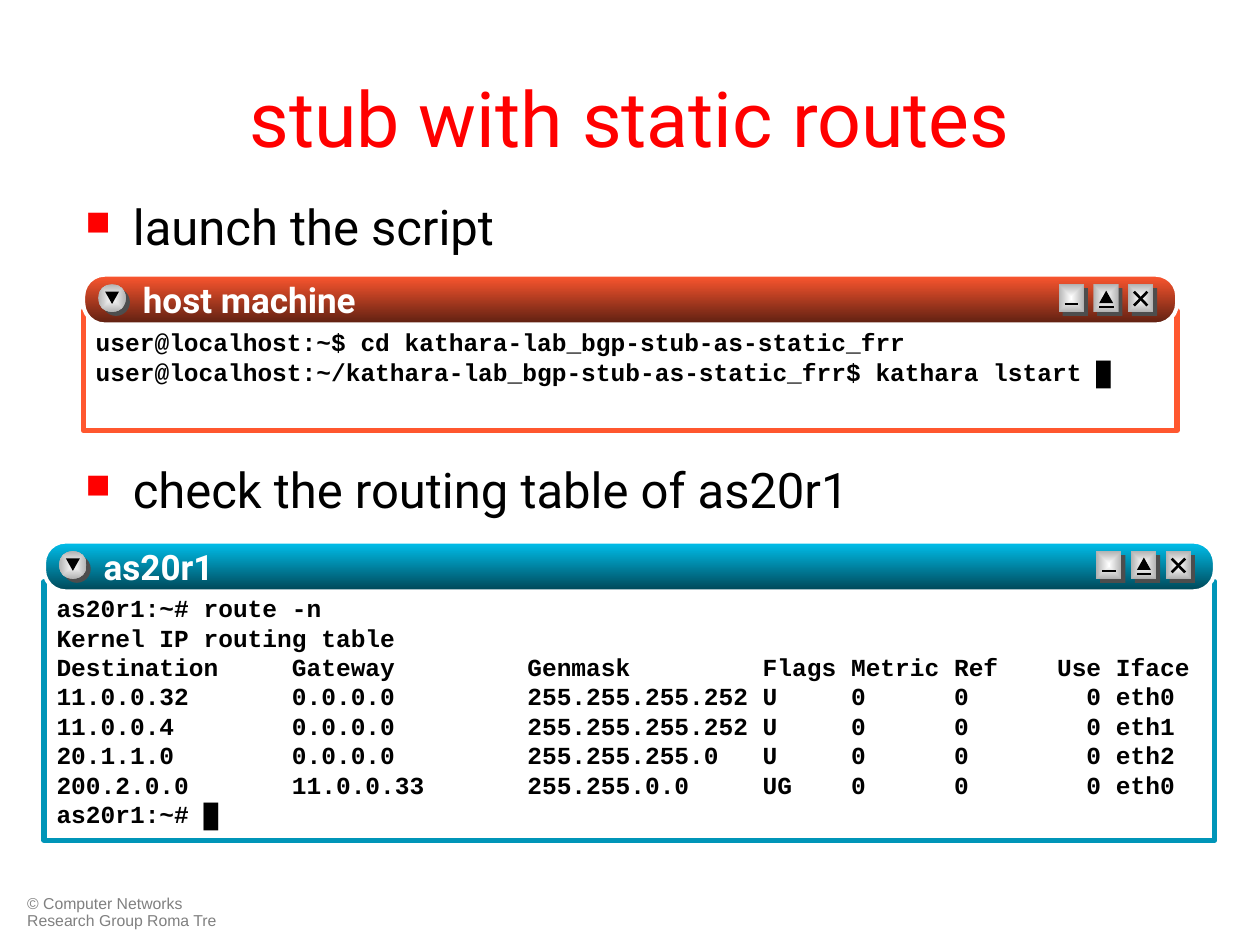
from lxml.etree import SubElement
from pptx import Presentation
from pptx.dml.color import RGBColor
from pptx.enum.shapes import MSO_CONNECTOR as Connector, MSO_SHAPE as Shape
from pptx.enum.text import MSO_ANCHOR as Anchor, PP_ALIGN as Align
from pptx.oxml.ns import qn
from pptx.util import Cm, Pt

RED = RGBColor(0xFF, 0x00, 0x00)
BLACK = RGBColor(0x00, 0x00, 0x00)
WHITE = RGBColor(0xFF, 0xFF, 0xFF)
FOOTER_GRAY = RGBColor(0x80, 0x80, 0x80)
BUTTON_GRAY = RGBColor(0xB2, 0xB2, 0xB2)
BUTTON_SHADOW = RGBColor(0x4D, 0x4D, 0x4D)
ORANGE, BROWN = RGBColor(0xFF, 0x57, 0x2F), RGBColor(0x5C, 0x1F, 0x11)
TEAL = RGBColor(0x00, 0x95, 0xB8)
CYAN, DARK_TEAL = RGBColor(0x00, 0xC1, 0xEE), RGBColor(0x00, 0x46, 0x56)

# Content
TITLE = "stub with static routes"
BULLETS = [("launch the script", 0), ("check the routing table of as20r1", 120)]
FOOTER = "© Computer Networks Research Group Roma Tre"
ROUTE_FORMAT = "{:<16}{:<16}{:<16}{:<6}{:<7}{:<6}{:>4} {}"
ROUTES = [
    ("Destination", "Gateway", "Genmask", "Flags", "Metric", "Ref", "Use", "Iface"),
    ("11.0.0.32", "0.0.0.0", "255.255.255.252", "U", "0", "0", "0", "eth0"),
    ("11.0.0.4", "0.0.0.0", "255.255.255.252", "U", "0", "0", "0", "eth1"),
    ("20.1.1.0", "0.0.0.0", "255.255.255.0", "U", "0", "0", "0", "eth2"),
    ("200.2.0.0", "11.0.0.33", "255.255.0.0", "UG", "0", "0", "0", "eth0"),
]
WINDOWS = [  # lengths in centimetres; console_top is measured from the bar
    {"title": "host machine", "left": 1.68, "top": 5.54, "width": 22.05,
     "console_top": 0.73, "console_height": 2.41, "inset": 0.33,
     "line": ORANGE, "bar": (ORANGE, BROWN),
     "text": ["user@localhost:~$ cd kathara-lab_bgp-stub-as-static_frr",
              "user@localhost:~/kathara-lab_bgp-stub-as-static_frr$ kathara lstart █"]},
    {"title": "as20r1", "left": 0.89, "top": 10.92, "width": 23.6,
     "console_top": 0.81, "console_height": 5.21, "inset": 0.23,
     "line": TEAL, "bar": (CYAN, DARK_TEAL),
     "text": ["as20r1:~# route -n", "Kernel IP routing table",
              *(ROUTE_FORMAT.format(*route) for route in ROUTES),
              "as20r1:~# █"]},
]

# Formats
TITLE_FONT = {"name": "Roboto", "size": Pt(44)}
BULLET_FONT = {"name": "Roboto", "size": Pt(28)}
BAR_FONT = {"name": "Roboto", "size": Pt(20), "bold": True}
CONSOLE_FONT = {"name": "Courier New", "size": Pt(14), "bold": True}
FOOTER_FONT = {"name": "Arial", "size": Pt(9)}
NO_MARGINS = dict.fromkeys(
    ("margin_left", "margin_top", "margin_right", "margin_bottom"), 0)

# Window parts, in centimetres
BAR_HEIGHT = 1.0
BUTTON_TOP, BUTTON_WIDTH, BUTTON_HEIGHT, MENU_SIZE = 0.19, 0.51, 0.56, 0.56
BUTTON_PITCH, FIRST_BUTTON_FROM_RIGHT = 0.7, 2.39
SHADOW_OFFSET = 0.08
ARROW = (0.28, 0.25)
BUTTON_LINES = [  # minimise, maximise, close: start and end inside the button
    [(0.12, 0.4, 0.39, 0.4)],
    [(0.12, 0.46, 0.41, 0.46)],
    [(0.12, 0.43, 0.39, 0.15), (0.12, 0.15, 0.39, 0.43)],
]


def set_values(target, values):
    for name, value in values.items():
        setattr(target, name, value)


def set_font(paragraph, values, color):
    set_values(paragraph.font, values)
    paragraph.font.color.rgb = color


def fill_gradient(shape, first, last, from_center=False):
    shape.fill.gradient()
    shape.fill.gradient_angle = 270
    for stop, color in zip(shape.fill.gradient_stops, (first, last)):
        stop.color.rgb = color
    if from_center:
        gradient = shape._element.spPr.find(qn("a:gradFill"))
        gradient.remove(gradient.find(qn("a:lin")))
        center = SubElement(gradient, qn("a:path"), {"path": "rect"})
        SubElement(center, qn("a:fillToRect"), dict.fromkeys("ltrb", "50000"))


def add_shape(shapes, kind, left, top, width, height, color=None):
    shape = shapes.add_shape(kind, Cm(left), Cm(top), Cm(width), Cm(height))
    shape.shadow.inherit = False
    shape.line.fill.background()
    if color is not None:
        shape.fill.solid()
        shape.fill.fore_color.rgb = color
    return shape


def add_text_box(shapes, left, top, width, height):
    box = shapes.add_textbox(Cm(left), Cm(top), Cm(width), Cm(height))
    box.text_frame.word_wrap = True
    return box.text_frame


def add_button(shapes, kind, left, top, width):
    """Raised button face over its hard shadow."""
    add_shape(shapes, kind, left + SHADOW_OFFSET, top + SHADOW_OFFSET,
              width, BUTTON_HEIGHT, BUTTON_SHADOW)
    face = add_shape(shapes, kind, left, top, width, BUTTON_HEIGHT)
    fill_gradient(face, WHITE, BUTTON_GRAY, from_center=True)


def add_line(shapes, x1, y1, x2, y2):
    line = shapes.add_connector(Connector.STRAIGHT, Cm(x1), Cm(y1), Cm(x2), Cm(y2))
    line.line.color.rgb = BLACK
    line.line.width = Pt(1.5)
    SubElement(line._element.spPr, qn("a:effectLst"))


def add_text_shadow(run):
    effects = SubElement(run._r.get_or_add_rPr(), qn("a:effectLst"))
    shadow = SubElement(effects, qn("a:outerShdw"), dist="17961", dir="2700000")
    SubElement(shadow, qn("a:srgbClr"), val="000000")


def add_window(slide, window):
    shapes = slide.shapes.add_group_shape().shapes
    left, top, width = window["left"], window["top"], window["width"]

    # Console
    console = add_shape(shapes, Shape.RECTANGLE, left, top + window["console_top"],
                        width, window["console_height"], WHITE)
    console.line.color.rgb = window["line"]
    console.line.width = Pt(3)
    frame = console.text_frame
    set_values(frame, {"word_wrap": True, "vertical_anchor": Anchor.TOP,
                       "margin_top": Cm(window["inset"])})
    frame.text = "\n".join(window["text"])
    for paragraph in frame.paragraphs:
        paragraph.alignment = Align.LEFT
        set_font(paragraph, CONSOLE_FONT, BLACK)

    # Title bar
    bar = add_shape(shapes, Shape.ROUNDED_RECTANGLE, left, top, width, BAR_HEIGHT)
    bar.adjustments[0] = 0.43
    fill_gradient(bar, *window["bar"])
    bar.line.color.rgb = WHITE
    bar.line.width = Pt(2.25)

    # Menu button
    button_top = top + BUTTON_TOP
    add_button(shapes, Shape.OVAL, left + 0.3, button_top, MENU_SIZE)
    arrow = add_shape(shapes, Shape.ISOSCELES_TRIANGLE, left + 0.44,
                      button_top + 0.15, *ARROW, BLACK)
    arrow._element.spPr.find(qn("a:xfrm")).set("flipV", "1")

    # Window buttons
    for index, lines in enumerate(BUTTON_LINES):
        x = left + width - FIRST_BUTTON_FROM_RIGHT + index * BUTTON_PITCH
        add_button(shapes, Shape.RECTANGLE, x, button_top, BUTTON_WIDTH)
        for x1, y1, x2, y2 in lines:
            add_line(shapes, x + x1, button_top + y1, x + x2, button_top + y2)
        if index == 1:
            add_shape(shapes, Shape.ISOSCELES_TRIANGLE, x + 0.12,
                      button_top + 0.13, *ARROW, BLACK)

    # Window name
    frame = add_text_box(shapes, left + 1.2, top, 9, BAR_HEIGHT)
    set_values(frame, {**NO_MARGINS, "vertical_anchor": Anchor.MIDDLE})
    paragraph = frame.paragraphs[0]
    run = paragraph.add_run()
    run.text = window["title"]
    set_values(run.font, BAR_FONT)
    run.font.color.rgb = WHITE
    effects_before_font = run._r.get_or_add_rPr().find(qn("a:latin"))
    add_text_shadow(run)
    run._r.rPr.append(effects_before_font)


def add_bullets(slide):
    frame = add_text_box(slide.shapes, 1.47, 3.98, 23.06, 6.58)
    frame.text = "\n".join(text for text, _ in BULLETS)
    for paragraph, (_, space) in zip(frame.paragraphs, BULLETS):
        set_values(paragraph, {"line_spacing": 0.9, "space_before": Pt(space)})
        properties = paragraph._p.get_or_add_pPr()
        properties.set("marL", str(Cm(0.96)))
        properties.set("indent", str(-Cm(0.96)))
        color = SubElement(properties, qn("a:buClr"))
        SubElement(color, qn("a:srgbClr"), val=str(RED))
        SubElement(properties, qn("a:buSzPct"), val="70000")
        SubElement(properties, qn("a:buChar"), char="■")
        set_font(paragraph, BULLET_FONT, BLACK)


def main():
    presentation = Presentation()
    presentation.slide_width, presentation.slide_height = Cm(25.4), Cm(19.05)
    slide = presentation.slides.add_slide(presentation.slide_layouts[5])

    # Footer
    frame = add_text_box(slide.shapes, 0.3, 17.93, 4.4, 0.91)
    frame.text = FOOTER
    frame.paragraphs[0].line_spacing = 0.9
    set_font(frame.paragraphs[0], FOOTER_FONT, FOOTER_GRAY)

    # Title
    title = slide.shapes.title
    set_values(title, {"left": Cm(1.27), "top": Cm(0.76),
                       "width": Cm(22.86), "height": Cm(3.18)})
    title.text_frame.text = TITLE
    title.text_frame.vertical_anchor = Anchor.MIDDLE
    title.text_frame.paragraphs[0].alignment = Align.CENTER
    set_font(title.text_frame.paragraphs[0], TITLE_FONT, RED)

    add_bullets(slide)
    for window in WINDOWS:
        add_window(slide, window)
    presentation.save("out.pptx")


if __name__ == "__main__":
    main()
